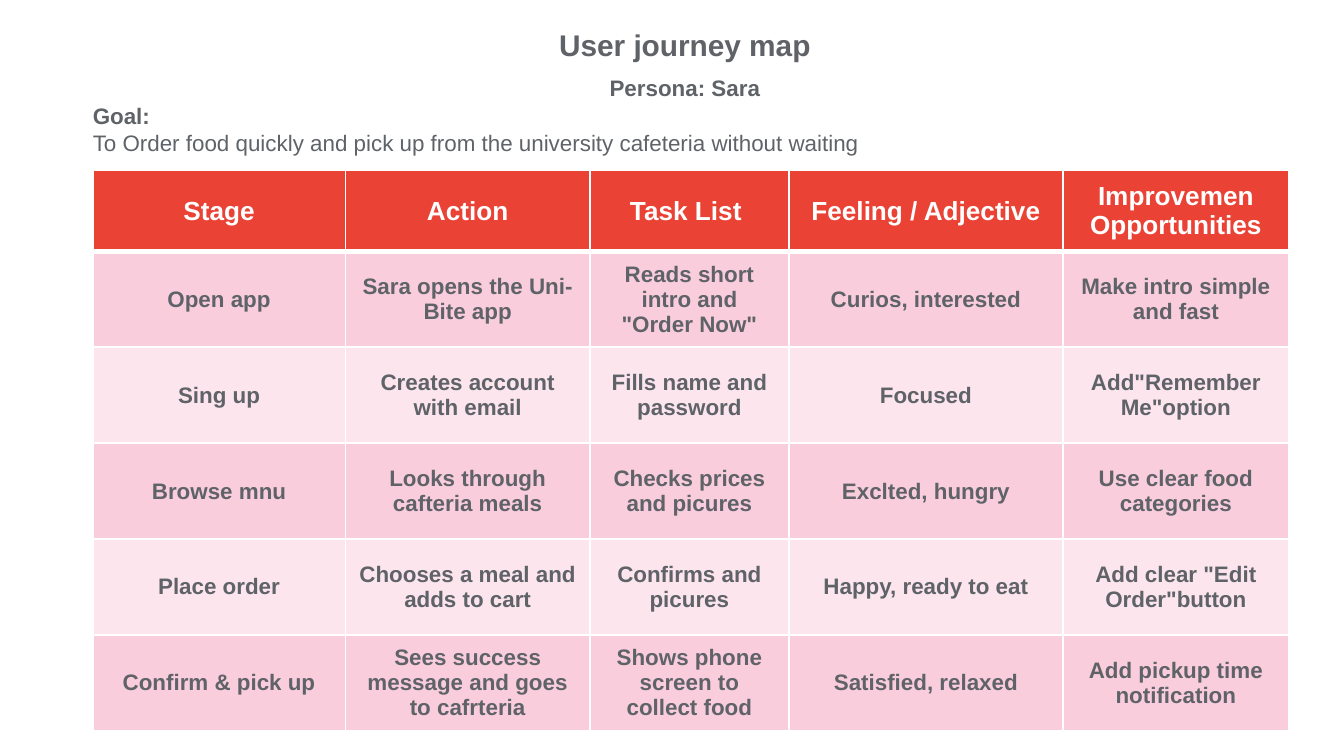
"""Build a one-slide user journey map with a heading, a goal and a stage table."""
import pptx
import pptx.dml.color
import pptx.enum.text
import pptx.oxml
import pptx.oxml.ns
import pptx.util
from pptx.util import Inches

COLORS = {"header": "EA4335", "row": "FACDDC", "text": "5F6368", "white": "FFFFFF"}
FONT = "Arial"
CENTER = pptx.enum.text.PP_ALIGN.CENTER
LEFT = pptx.enum.text.PP_ALIGN.LEFT
SLIDE_WIDTH = 10
SLIDE_HEIGHT = SLIDE_WIDTH * 9 / 16

HEADINGS = [
    {"box": (4.12, 0.1, 2.05, 0.7), "align": CENTER,
     "lines": [("User journey map", 16, True)]},
    {"box": (4.12, 0.45, 2.05, 0.4), "align": CENTER,
     "lines": [("Persona: Sara", 12, True)]},
    {"box": (0.69, 0.66, 6.51, 0.61), "align": LEFT,
     "lines": [
         ("Goal:", 12, True),
         ("To Order food quickly and pick up from the university cafeteria without waiting",
          12, False),
     ]},
]

JOURNEY = [
    ("Stage", "Action", "Task List ", "Feeling / Adjective", "Improvemen Opportunities"),
    ("Open app", "Sara opens the Uni-Bite app", 'Reads short intro and "Order Now"',
     "Curios, interested", "Make intro simple and fast"),
    ("Sing up", "Creates account with email", "Fills name and password",
     "Focused", 'Add"Remember Me"option'),
    ("Browse mnu", "Looks through cafteria meals", "Checks prices and picures",
     "Exclted, hungry", "Use clear food categories"),
    ("Place order", "Chooses a meal and adds to cart", "Confirms and picures",
     "Happy, ready to eat", 'Add clear "Edit Order"button'),
    ("Confirm & pick up", "Sees success message and goes to cafrteria",
     "Shows phone screen to collect food", "Satisfied, relaxed",
     "Add pickup time notification"),
]
TABLE_LEFT, TABLE_TOP, TABLE_HEIGHT = 0.69, 1.27, 4.17
COLUMN_WIDTHS = [1.88, 1.82, 1.48, 2.04, 1.68]
HEADER_HEIGHT = 0.6
STAGE_COUNT = len(JOURNEY) - 1
ROW_HEIGHTS = [HEADER_HEIGHT] + [(TABLE_HEIGHT - HEADER_HEIGHT) / STAGE_COUNT] * STAGE_COUNT


def rgb(name):
    return pptx.dml.color.RGBColor.from_string(COLORS[name])


def style_paragraph(para, align, size, bold, color):
    para.alignment = align
    for span in para.runs:
        span.font.name = FONT
        span.font.size = pptx.util.Pt(size)
        span.font.bold = bold
        span.font.color.rgb = rgb(color)


def add_heading(page, heading):
    box = page.shapes.add_textbox(*map(Inches, heading["box"]))
    frame = box.text_frame
    frame.word_wrap = True
    frame.margin_left = 0
    frame.margin_top = frame.margin_right = frame.margin_bottom = Inches(0.1)
    frame.text = "\n".join(line[0] for line in heading["lines"])
    for para, (_, size, bold) in zip(frame.paragraphs, heading["lines"]):
        style_paragraph(para, heading["align"], size, bold, "text")


def set_borders(cell, row):
    widths = {"L": 1, "R": 1, "T": 3 if row == 1 else 1, "B": 3 if row == 0 else 1}
    properties = cell._tc.get_or_add_tcPr()
    for side, width in widths.items():
        properties.append(pptx.oxml.parse_xml(
            f'<a:ln{side} {pptx.oxml.ns.nsdecls("a")} w="{pptx.util.Pt(width)}">'
            f'<a:solidFill><a:srgbClr val="{COLORS["white"]}"/></a:solidFill></a:ln{side}>'))


def set_fill(cell, color, faded):
    cell.fill.solid()
    cell.fill.fore_color.rgb = rgb(color)
    if faded:
        value = cell._tc.tcPr.find(pptx.oxml.ns.qn("a:solidFill"))[0]
        value.append(pptx.oxml.parse_xml(
            f'<a:alpha {pptx.oxml.ns.nsdecls("a")} val="50000"/>'))


def add_journey_table(page):
    table = page.shapes.add_table(
        len(JOURNEY), len(COLUMN_WIDTHS), Inches(TABLE_LEFT), Inches(TABLE_TOP),
        Inches(sum(COLUMN_WIDTHS)), Inches(TABLE_HEIGHT)).table
    for column, width in zip(table.columns, COLUMN_WIDTHS):
        column.width = Inches(width)
    for row, (texts, height) in enumerate(zip(JOURNEY, ROW_HEIGHTS)):
        table.rows[row].height = Inches(height)
        is_header = row == 0
        for column, text in enumerate(texts):
            cell = table.cell(row, column)
            cell.text_frame.text = text
            cell.vertical_anchor = pptx.enum.text.MSO_ANCHOR.MIDDLE
            style_paragraph(cell.text_frame.paragraphs[0], CENTER,
                            14 if is_header else 12, True,
                            "white" if is_header else "text")
            set_borders(cell, row)
            set_fill(cell, "header" if is_header else "row",
                     not is_header and row % 2 == 0)


def main():
    deck = pptx.Presentation()
    deck.slide_width, deck.slide_height = Inches(SLIDE_WIDTH), Inches(SLIDE_HEIGHT)
    page = deck.slides.add_slide(deck.slide_layouts[6])
    add_journey_table(page)
    for heading in HEADINGS:
        add_heading(page, heading)
    deck.save("out.pptx")


if __name__ == "__main__":
    main()
